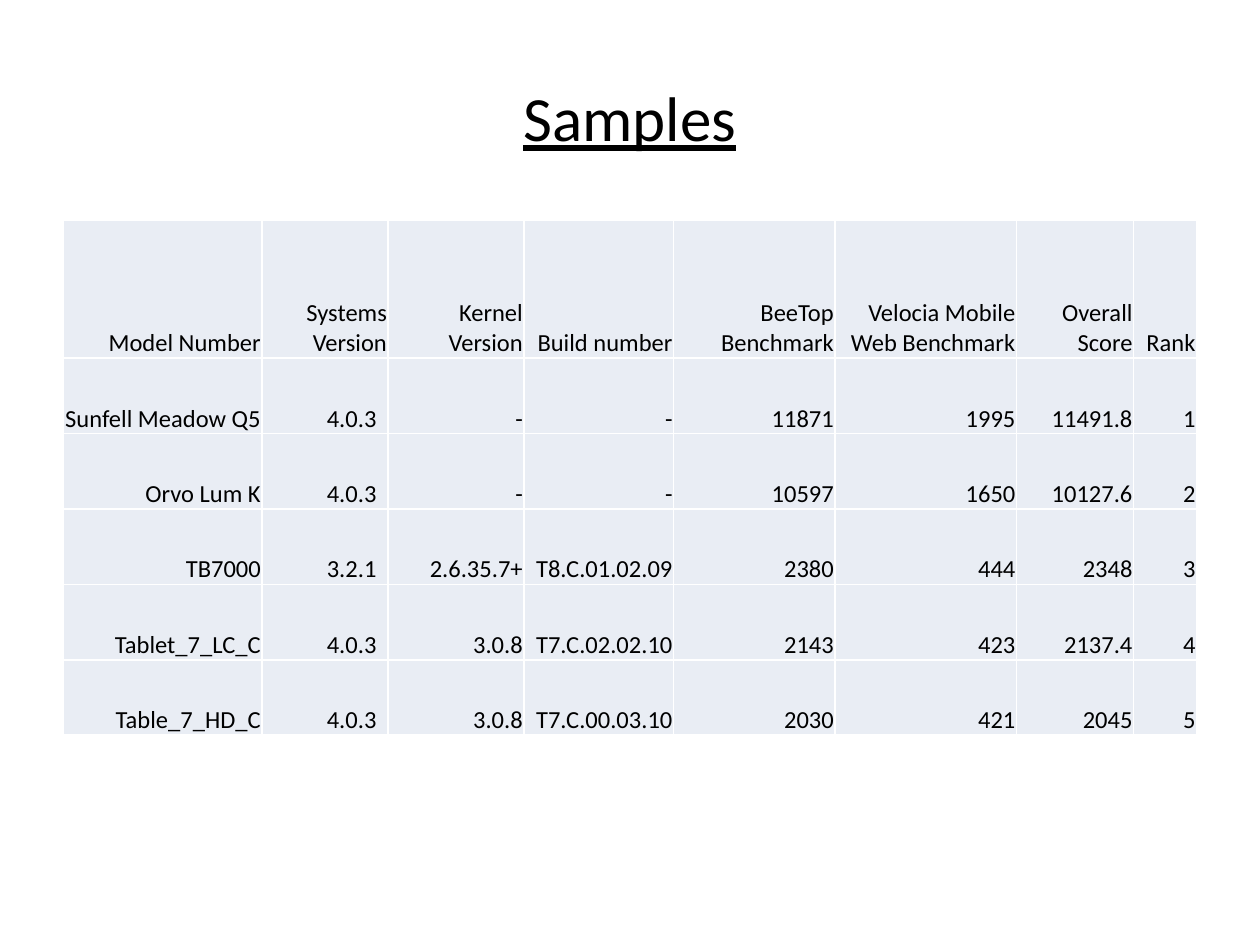
"""Build the benchmark samples slide with its ranking table."""
import pptx
import pptx.dml.color
import pptx.enum.text
import pptx.oxml
import pptx.oxml.ns
import pptx.util

Cm = pptx.util.Cm
Pt = pptx.util.Pt
RGB = pptx.dml.color.RGBColor.from_string
ALIGN = pptx.enum.text.PP_ALIGN
ANCHOR = pptx.enum.text.MSO_ANCHOR

TITLE = "Samples"
HEADER = ["Model Number", "Systems Version", "Kernel Version", "Build number",
          "BeeTop Benchmark", "Velocia Mobile Web Benchmark", "Overall Score", "Rank"]
SAMPLES = [
    ["Sunfell Meadow Q5", "4.0.3", "-", "-", "11871", "1995", "11491.8", "1"],
    ["Orvo Lum K", "4.0.3", "-", "-", "10597", "1650", "10127.6", "2"],
    ["TB7000", "3.2.1", "2.6.35.7+", "T8.C.01.02.09", "2380", "444", "2348", "3"],
    ["Tablet_7_LC_C", "4.0.3", "3.0.8", "T7.C.02.02.10", "2143", "423", "2137.4", "4"],
    ["Table_7_HD_C", "4.0.3", "3.0.8", "T7.C.00.03.10", "2030", "421", "2045", "5"],
]
COLORS = {"text": "000000", "cell": "E9EDF4", "border": "FFFFFF"}
FONT = "Calibri"
COL_WIDTHS = [4.01, 2.54, 2.74, 3.02, 3.25, 3.66, 2.36, 1.27]
HEADER_HEIGHT, ROW_HEIGHT = 2.77, 1.52
LEFT, TITLE_TOP, TABLE_TOP = 1.27, 0.76, 4.45
INSET, VERSION_INSET = 0.02, 0.23
VERSION_COL = 1


def style_paragraph(p, size, align):
    p.alignment = align
    p.font.name = FONT
    p.font.size = Pt(size)
    p.font.color.rgb = RGB(COLORS["text"])


def add_borders(cell):
    tc_pr = cell._tc.get_or_add_tcPr()
    for side in "LRTB":
        tc_pr.append(pptx.oxml.parse_xml(
            f'<a:ln{side} {pptx.oxml.ns.nsdecls("a")} w="{Pt(1)}"><a:solidFill>'
            f'<a:srgbClr val="{COLORS["border"]}"/></a:solidFill></a:ln{side}>'))


def add_title(slide, width):
    tf = slide.shapes.add_textbox(Cm(LEFT), Cm(TITLE_TOP), Cm(width), Cm(3.18)).text_frame
    tf.word_wrap = True
    tf.vertical_anchor = ANCHOR.MIDDLE
    p = tf.paragraphs[0]
    p.text = TITLE
    style_paragraph(p, 36, ALIGN.CENTER)
    p.font.underline = True


def add_samples_table(slide, width):
    rows = [HEADER] + SAMPLES
    heights = [HEADER_HEIGHT] + [ROW_HEIGHT] * len(SAMPLES)
    table = slide.shapes.add_table(len(rows), len(HEADER), Cm(LEFT), Cm(TABLE_TOP),
                                   Cm(width), Cm(sum(heights))).table
    table.first_row = table.horz_banding = False
    for column, col_width in zip(table.columns, COL_WIDTHS):
        column.width = Cm(col_width)
    for r, (values, height) in enumerate(zip(rows, heights)):
        table.rows[r].height = Cm(height)
        for c, value in enumerate(values):
            cell = table.cell(r, c)
            cell.text = value
            cell.vertical_anchor = ANCHOR.BOTTOM
            cell.margin_left = cell.margin_top = Cm(INSET)
            cell.margin_right = Cm(VERSION_INSET if r and c == VERSION_COL else INSET)
            cell.margin_bottom = 0
            add_borders(cell)
            cell.fill.solid()
            cell.fill.fore_color.rgb = RGB(COLORS["cell"])
            style_paragraph(cell.text_frame.paragraphs[0], 14, ALIGN.RIGHT)


def main():
    prs = pptx.Presentation()
    prs.slide_width, prs.slide_height = Cm(25.4), Cm(19.05)
    slide = prs.slides.add_slide(prs.slide_layouts[6])
    width = sum(COL_WIDTHS)
    add_samples_table(slide, width)
    add_title(slide, width)
    prs.save("out.pptx")


if __name__ == "__main__":
    main()
